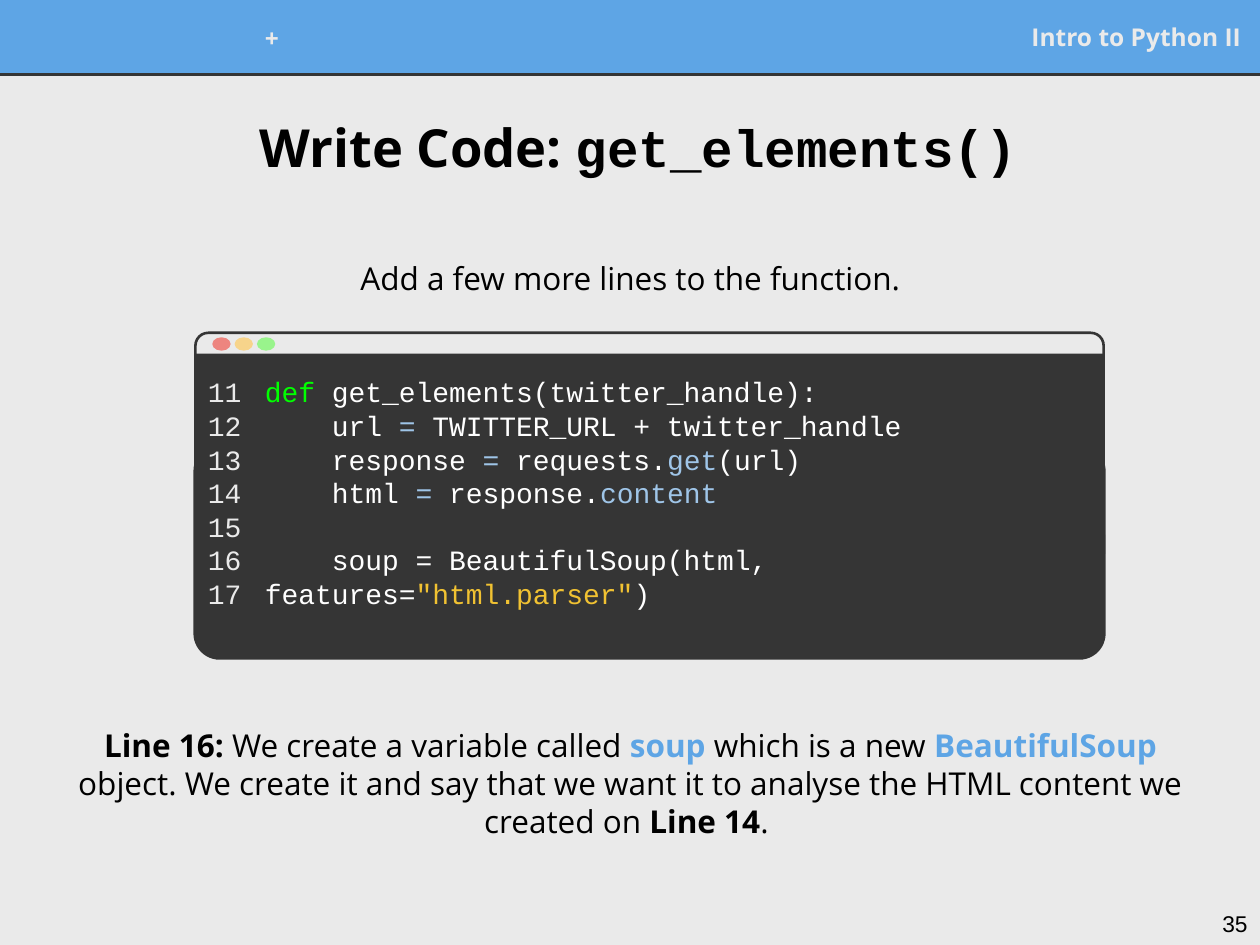
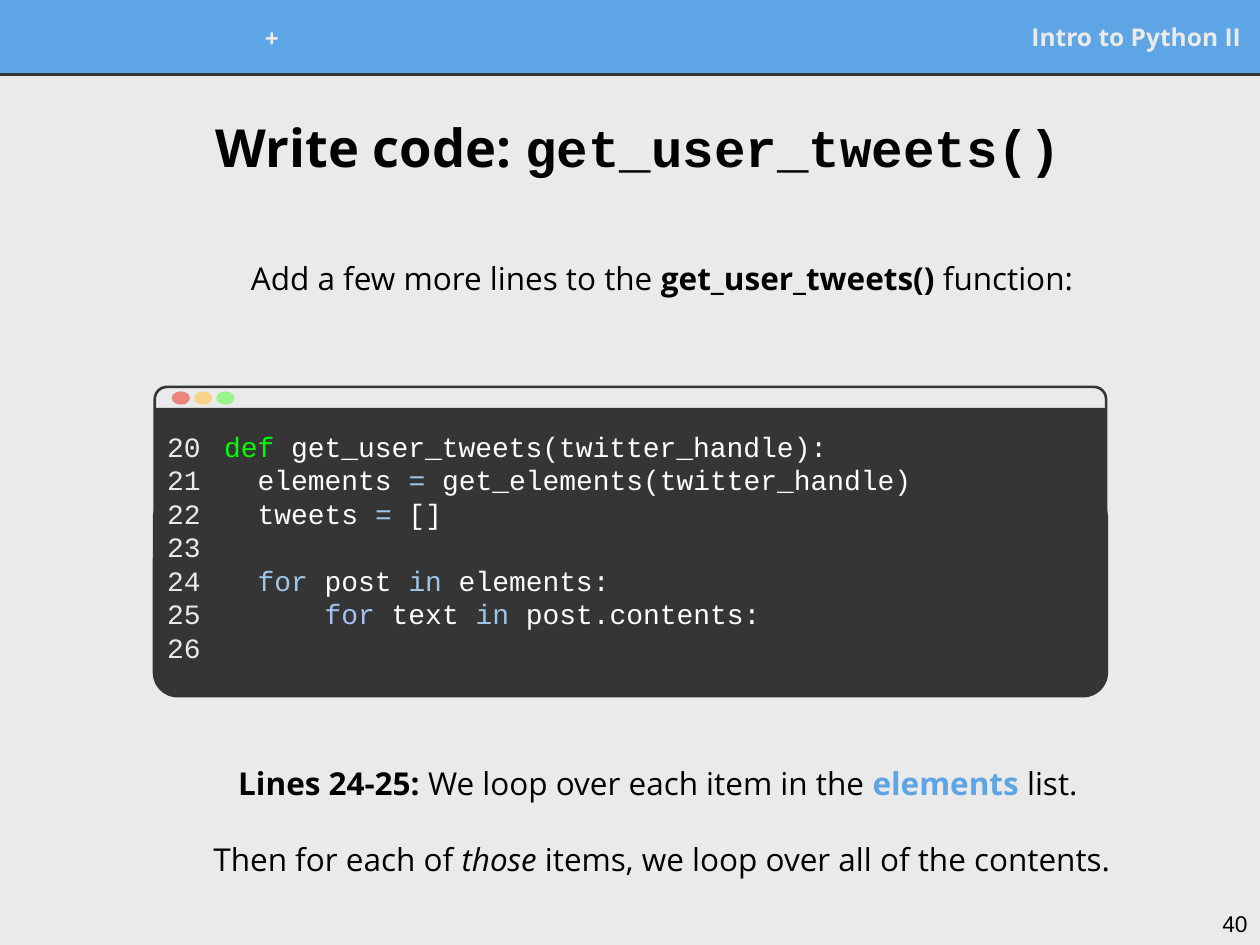
from lxml import etree
from pptx import Presentation
from pptx import util as u
from pptx.dml.color import RGBColor
from pptx.enum import shapes, text
from pptx.oxml import ns

BLUE = RGBColor(0x5E, 0xA5, 0xE5)
PAPER = RGBColor(0xEA, 0xEA, 0xEA)
INK = RGBColor(0x35, 0x35, 0x35)
BLACK = RGBColor(0, 0, 0)
WHITE = RGBColor(0xFF, 0xFF, 0xFF)
GREEN = RGBColor(0, 0xFF, 0)
SKY = RGBColor(0x9F, 0xC5, 0xE8)
LILAC = RGBColor(0xA4, 0xC2, 0xF4)
GOLD = RGBColor(0xF1, 0xC2, 0x32)
BUTTONS = (RGBColor(0xED, 0x85, 0x7F), RGBColor(0xF7, 0xD4, 0x8B), RGBColor(0x99, 0xF4, 0x8C))

LEFT, CENTER, RIGHT = text.PP_ALIGN.LEFT, text.PP_ALIGN.CENTER, text.PP_ALIGN.RIGHT
TOP, MIDDLE = text.MSO_ANCHOR.TOP, text.MSO_ANCHOR.MIDDLE
RECT, ROUND, OVAL = (shapes.MSO_SHAPE.RECTANGLE, shapes.MSO_SHAPE.ROUNDED_RECTANGLE,
                     shapes.MSO_SHAPE.OVAL)

TITLE = dict(name="Open Sans", size=u.Pt(30), bold=True, color=BLACK)
BODY = dict(name="Open Sans", size=u.Pt(18), bold=False, color=BLACK)
HEADER = dict(name="Open Sans", size=u.Pt(14), bold=True, color=PAPER)
NUMBER = dict(name="Arial", size=u.Pt(13), color=BLACK)
CODE = dict(name="Courier New", size=u.Pt(16), color=WHITE)

MONO = dict(name="Courier New")
BOLD = dict(bold=True)
ITALIC = dict(italic=True)
TERM = dict(bold=True, color=BLUE)
KEYWORD = dict(color=GREEN)
TOKEN = dict(color=SKY)
INNER = dict(color=LILAC)
STRING = dict(color=GOLD)


class Deck:
    def __init__(self):
        self.file = Presentation()
        self.file.slide_width, self.file.slide_height = u.Cm(25.4), u.Cm(19.05)
        self.slide = None

    def new_slide(self, number):
        self.slide = self.file.slides.add_slide(self.file.slide_layouts[3])
        self.slide.background.fill.solid()
        self.slide.background.fill.fore_color.rgb = PAPER
        self.shape(RECT, (0, 0, 25.4, 1.5), BLUE, BLUE, 0.75)
        self.rule(1.5)
        self.label((15.85, 0.25, 9.42, 0.97), [["Intro to Python II"]], HEADER, RIGHT)
        self.label((4.72, 0.28, 1.52, 0.97), [["+"]], HEADER, CENTER)
        self.label((23.88, 18.08, 1.52, 0.97), [[number]], NUMBER, RIGHT, TOP)

    def shape(self, kind, box, fill=None, line=None, weight=0.0, corner=None):
        item = self.slide.shapes.add_shape(kind, *map(u.Cm, box))
        item.shadow.inherit = False
        if corner is not None:
            item.adjustments[0] = corner
        if fill is None:
            item.fill.background()
        else:
            item.fill.solid()
            item.fill.fore_color.rgb = fill
        if line is None:
            item.line.fill.background()
        else:
            item.line.color.rgb = line
            item.line.width = u.Pt(weight)

    def rule(self, y):
        edge = self.slide.shapes.add_connector(
            shapes.MSO_CONNECTOR.STRAIGHT, 0, u.Cm(y), u.Cm(25.4), u.Cm(y))
        edge.line.color.rgb = INK
        edge.line.width = u.Pt(1.5)
        etree.SubElement(edge.element.spPr, ns.qn("a:effectLst"))

    def set_lines(self, holder, lines, style, align, anchor=MIDDLE, pitch=None, gap=0.0,
                  indent=0.0):
        frame = holder.text_frame
        margins = dict.fromkeys(
            ("margin_left", "margin_right", "margin_top", "margin_bottom"), u.Cm(0.25))
        settings = dict(word_wrap=True, auto_size=text.MSO_AUTO_SIZE.NONE,
                        vertical_anchor=anchor, **margins)
        for key, value in settings.items():
            setattr(frame, key, value)
        for index, line in enumerate(lines):
            paragraph = frame.add_paragraph() if index else frame.paragraphs[0]
            properties = paragraph._p.get_or_add_pPr()
            properties.set("marL", str(u.Cm(indent)))
            properties.set("indent", "0")
            etree.SubElement(properties, ns.qn("a:buNone"))
            paragraph.alignment = align
            paragraph.space_before = u.Pt(gap if index else 0)
            if pitch:
                paragraph.line_spacing = u.Pt(pitch)
            self.style_font(paragraph.font, style)
            for part in line:
                words, change = (part, {}) if isinstance(part, str) else part
                run = paragraph.add_run()
                run.text = words
                self.style_font(run.font, {**style, **change})

    def style_font(self, font, style):
        for key, value in style.items():
            if key == "color":
                font.color.rgb = value
            else:
                setattr(font, key, value)

    def label(self, box, lines, style, align, anchor=MIDDLE, pitch=None):
        holder = self.slide.shapes.add_textbox(*map(u.Cm, box))
        self.set_lines(holder, lines, style, align, anchor, pitch)

    def fill_placeholder(self, index, box, lines, style, **layout):
        holder = self.slide.placeholders[index]
        for key, value in zip(("left", "top", "width", "height"), box):
            setattr(holder, key, u.Cm(value))
        self.set_lines(holder, lines, style, CENTER, **layout)

    def title(self, words, function):
        self.fill_placeholder(0, (0.61, 1.8, 24.51, 2.29), [[words, (function, MONO)]], TITLE)

    def prompt(self, line, indent=0.0):
        self.fill_placeholder(1, (0.81, 4.7, 23.8, 1.8), [line], BODY, pitch=21.6, indent=indent)

    def explanation(self, top, height, lines, indent=0.0):
        self.fill_placeholder(2, (0.81, top, 23.8, height), lines, BODY,
                              pitch=21.6, gap=21.6, indent=indent)

    def code_window(self, box, first, lines, count):
        left, top, width, height = box
        self.shape(ROUND, (left, top, width, 0.72 * height), None, INK, 1.5, 0.055)
        self.shape(RECT, (left, top + 0.42, width, 0.86 * height), INK)
        self.shape(ROUND, (left, top + 0.35 * height, width, 0.65 * height), INK, INK, 2.25, 0.115)
        for index, color in enumerate(BUTTONS):
            self.shape(OVAL, (left + 0.34 + index * 0.45, top + 0.09, 0.37, 0.27), color)
        numbers = [[(str(first + index), dict(color=PAPER))] for index in range(count)]
        code_top = top + 0.6
        self.label((left + 1.15, code_top, width - 1.15, height - 1), lines, CODE, LEFT, TOP, 19.2)
        self.label((left, code_top, 1.85, height - 0.6), numbers, CODE, LEFT, TOP, 19.2)


def elements_slide(deck):
    deck.new_slide("35")
    deck.title("Write Code: ", "get_elements()")
    deck.prompt(["Add a few more lines to the function."])
    deck.code_window((3.94, 6.71, 18.31, 6.55), 11, [
        [("def", KEYWORD), " get_elements(twitter_handle):"],
        ["    url ", ("=", TOKEN), " TWITTER_URL + twitter_handle"],
        ["    response ", ("=", TOKEN), " requests.", ("get", TOKEN), "(url)"],
        ["    html ", ("=", TOKEN), " response.", ("content", TOKEN)],
        [],
        ["    soup = BeautifulSoup(html, features=", ("\"html.parser\"", STRING), ")"],
    ], 7)
    deck.explanation(14.02, 3.53, [[
        ("Line 16: ", BOLD), "We create a variable called ", ("soup", TERM),
        " which is a new ", ("BeautifulSoup", TERM),
        " object. We create it and say that we want it to analyse the HTML content we created on ",
        ("Line 14", BOLD), ". "]])


def tweets_slide(deck):
    deck.new_slide("40")
    deck.title("Write code: ", "get_user_tweets()")
    deck.prompt(["Add a few more lines to the ", ("get_user_tweets() ", BOLD), "function:"], 1.27)
    deck.code_window((3.12, 7.8, 19.18, 6.22), 20, [
        [("def", KEYWORD), " get_user_tweets(twitter_handle):"],
        ["  elements ", ("=", TOKEN), " get_elements(twitter_handle)"],
        ["  tweets ", ("=", TOKEN), " []"],
        [],
        ["  ", ("for ", TOKEN), "post ", ("in", TOKEN), " elements:"],
        ["      ", ("for", INNER), " text ", ("in ", TOKEN), "post.contents:"],
    ], 7)
    deck.explanation(15.65, 1.8, [
        [("Lines 24-25: ", BOLD), "We loop over each item in the ", ("elements", TERM), " list. "],
        ["Then for each of ", ("those", ITALIC), " items, we loop over all of the contents."],
    ], 1.27)


def main():
    deck = Deck()
    elements_slide(deck)
    tweets_slide(deck)
    deck.file.save("out.pptx")


if __name__ == "__main__":
    main()
